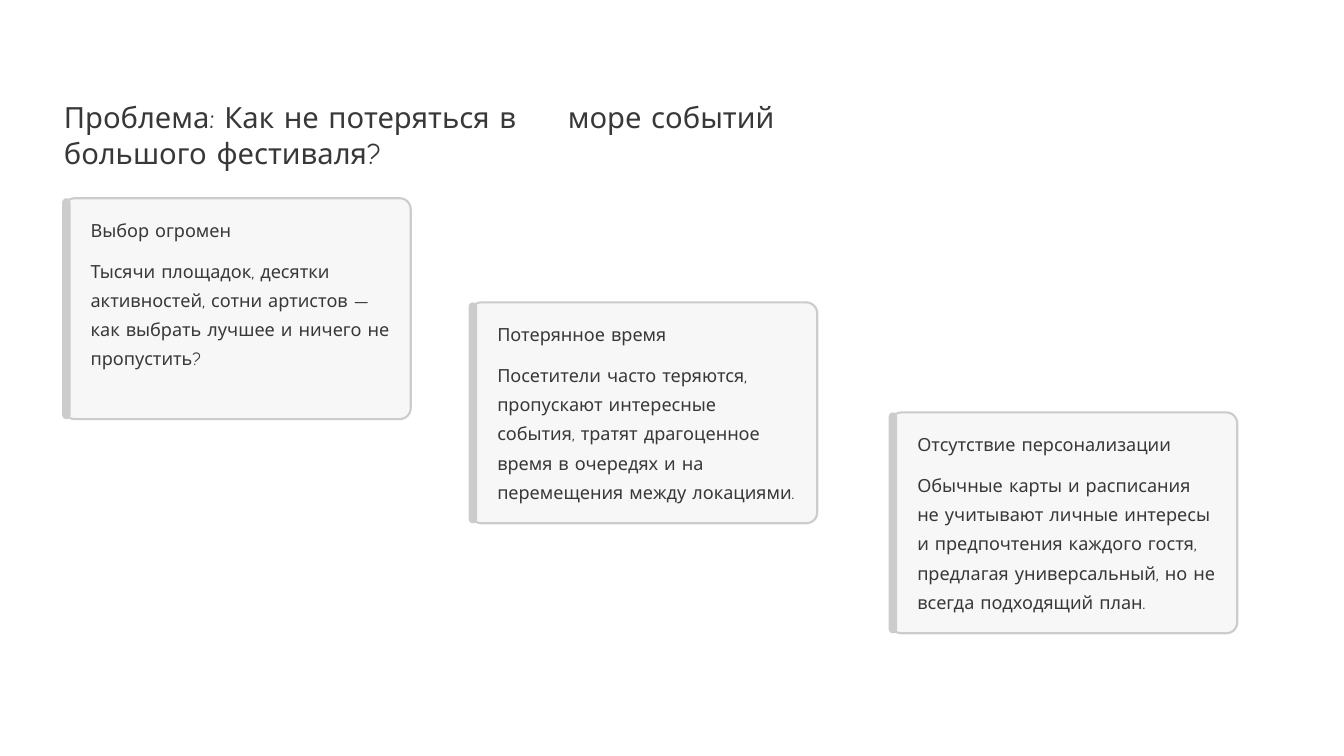
import pptx
import pptx.dml.color
import pptx.enum.shapes
import pptx.enum.text
import pptx.oxml.ns
import pptx.util
from lxml import etree

Inches = pptx.util.Inches
Pt = pptx.util.Pt
rgb = pptx.dml.color.RGBColor.from_string
ROUNDED = pptx.enum.shapes.MSO_SHAPE.ROUNDED_RECTANGLE

COLORS = {"paper": "FFFFFF", "text": "383838", "card": "F7F7F7", "edge": "CCCCCC"}
CARD_HEIGHT = 2.63
TEXT_WIDTH = 3.57

CARDS = [
    (0.76, 2.36, "Выбор огромен",
     "Тысячи площадок, десятки активностей, сотни артистов — как выбрать "
     "лучшее и ничего не пропустить?"),
    (5.6, 3.6, "Потерянное время",
     "Посетители часто теряются, пропускают интересные события, тратят "
     "драгоценное время в очередях и на перемещения между локациями."),
    (10.6, 4.91, "Отсутствие персонализации",
     "Обычные карты и расписания не учитывают личные интересы и предпочтения "
     "каждого гостя, предлагая универсальный, но не всегда подходящий план."),
]


def write_text(box, text, size, spacing, wrap=True):
    frame = box.text_frame
    settings = {
        "margin_left": 0, "margin_top": 0, "margin_right": 0, "margin_bottom": 0,
        "auto_size": pptx.enum.text.MSO_AUTO_SIZE.NONE,
        "vertical_anchor": pptx.enum.text.MSO_ANCHOR.TOP,
        "word_wrap": wrap,
    }
    for name, value in settings.items():
        setattr(frame, name, value)
    para = frame.paragraphs[0]
    para.alignment = pptx.enum.text.PP_ALIGN.LEFT
    para.line_spacing = Pt(spacing)
    span = para.add_run()
    span.text = text
    span.font.name = "Comic Neue"
    span.font.size = Pt(size)
    span.font.color.rgb = rgb(COLORS["text"])


def add_rounded(left, top, width, rounding, fill):
    box = page.shapes.add_shape(
        ROUNDED, Inches(left), Inches(top), Inches(width), Inches(CARD_HEIGHT))
    box.adjustments[0] = rounding
    box.shadow.inherit = False
    box.fill.solid()
    box.fill.fore_color.rgb = rgb(COLORS[fill])
    return box


deck = pptx.Presentation()
deck.slide_width = Inches(16)
deck.slide_height = Inches(9)
page = deck.slides.add_slide(deck.slide_layouts[5])
page.background.fill.solid()
page.background.fill.fore_color.rgb = rgb(COLORS["paper"])

title = page.shapes.title
title.left, title.top = Inches(0.76), Inches(1.17)
title.width, title.height = Inches(8.48), Inches(0.87)
write_text(title, "Проблема: Как не потеряться в \tморе событий большого фестиваля?", 25, 31)
properties = title.text_frame.paragraphs[0]._p.get_or_add_pPr()
tabs = etree.SubElement(properties, pptx.oxml.ns.qn("a:tabLst"))
etree.SubElement(tabs, pptx.oxml.ns.qn("a:tab"), pos=str(Inches(6)), algn="l")

for left, top, heading, body in CARDS:
    card = add_rounded(left, top, 4.13, 0.05, "card")
    card.line.color.rgb = rgb(COLORS["edge"])
    card.line.width = Pt(1.8)
    accent = add_rounded(left - 0.02, top, 0.1, 0.5, "edge")
    accent.line.fill.background()

    text_left = Inches(left + 0.32)
    heading_box = page.shapes.add_textbox(
        text_left, Inches(top + 0.24), Inches(TEXT_WIDTH), Inches(0.27))
    write_text(heading_box, heading, 15.5, 19.5, wrap=False)
    body_box = page.shapes.add_textbox(
        text_left, Inches(top + 0.65), Inches(TEXT_WIDTH), Inches(1.74))
    write_text(body_box, body, 15.5, 25)

deck.save("out.pptx")
